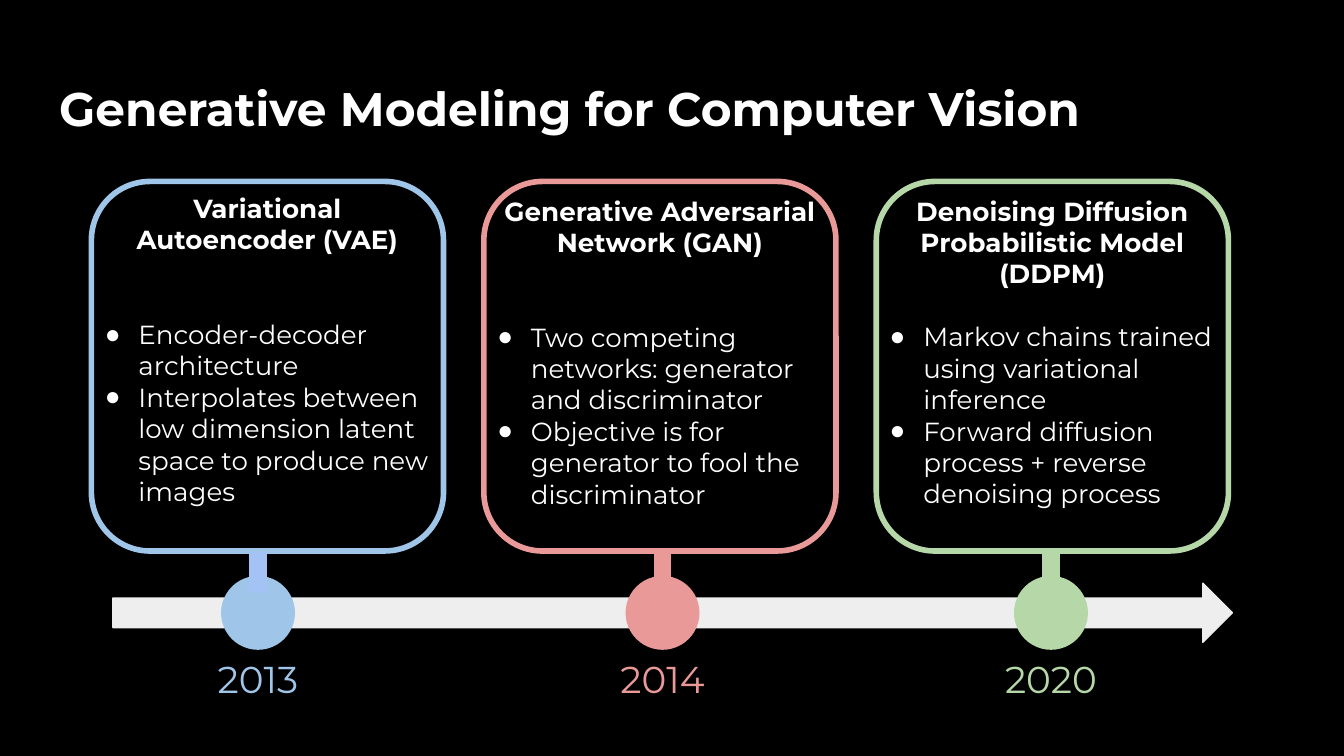
from pptx import Presentation
from pptx.dml.color import RGBColor
from pptx.enum.shapes import MSO_SHAPE
from pptx.enum.text import MSO_ANCHOR, MSO_AUTO_SIZE, PP_ALIGN
from pptx.oxml import parse_xml
from pptx.oxml.ns import nsdecls
from pptx.util import Inches, Pt

THEME = {
    "font": "Montserrat",
    "background": "000000", "text": "FFFFFF", "arrow": "EEEEEE",
    "blue": "9FC5E8", "blue stem": "A4C2F4", "red": "EA9999", "green": "B6D7A8",
    "title size": 25.2, "year size": 20, "card size": 14,
    "card line": 3, "thin line": 0.75,
}
FRAME = {
    "word_wrap": True, "auto_size": MSO_AUTO_SIZE.NONE, "vertical_anchor": MSO_ANCHOR.TOP,
    "margin_left": Inches(0.1), "margin_right": Inches(0.1),
    "margin_top": Inches(0.1), "margin_bottom": Inches(0.1),
}
MILESTONES = [
    {"year": "2013", "center": 1.92, "color": "blue", "stem": "blue stem",
     "text top": 1.33, "gap": 34,
     "model": "Variational Autoencoder (VAE)",
     "points": ["Encoder-decoder architecture",
                "Interpolates between low dimension latent space to produce new images"]},
    {"year": "2014", "center": 4.93, "color": "red", "stem": "red",
     "text top": 1.35, "gap": 34,
     "model": "Generative Adversarial Network (GAN)",
     "points": ["Two competing networks: generator and discriminator",
                "Objective is for generator to fool the discriminator"]},
    {"year": "2020", "center": 7.82, "color": "green", "stem": "green",
     "text top": 1.35, "gap": 17,
     "model": "Denoising Diffusion Probabilistic Model (DDPM)",
     "points": ["Markov chains trained using variational inference",
                "Forward diffusion process + reverse denoising process"]},
]
SLIDE_WIDTH = 10
SLIDE_HEIGHT = SLIDE_WIDTH * 9 / 16
CARD_LEFT, CARD_TOP, CARD_WIDTH, CARD_HEIGHT = 0.68, 1.35, 2.62, 2.75
COLUMN_PITCH = CARD_WIDTH + 0.3
AXIS = 4.56
DOT = 0.54
STEM_WIDTH, STEM_HEIGHT = 0.12, 0.3
YEAR_WIDTH, YEAR_HEIGHT = 1, 0.54


def add_outlined(kind, box, line, width, fill=None):
    """Add a preset shape; without a fill only its outline shows."""
    shape = slide.shapes.add_shape(kind, *map(Inches, box))
    shape.shadow.inherit = False
    if fill:
        shape.fill.solid()
        shape.fill.fore_color.rgb = RGBColor.from_string(THEME[fill])
    else:
        shape.fill.background()
    shape.line.color.rgb = RGBColor.from_string(THEME[line])
    shape.line.width = Pt(THEME[width])


def write(holder, box, lines, size, color, align):
    """Place a text holder; lines are (text, bold, bulleted, space before)."""
    holder.left, holder.top, holder.width, holder.height = map(Inches, box)
    frame = holder.text_frame
    for name, value in FRAME.items():
        setattr(frame, name, value)
    rgb = RGBColor.from_string(THEME[color])
    for number, (text, bold, bulleted, before) in enumerate(lines):
        paragraph = frame.add_paragraph() if number else frame.paragraphs[0]
        properties = paragraph._p.get_or_add_pPr()
        indent = Inches(0.25) if bulleted else 0
        properties.set("marL", str(indent))
        properties.set("indent", str(-indent))
        if bulleted:
            properties.append(parse_xml(
                f'<a:buClr {nsdecls("a")}><a:srgbClr val="{THEME[color]}"/></a:buClr>'))
            properties.append(parse_xml(f'<a:buChar {nsdecls("a")} char="●"/>'))
        else:
            properties.append(parse_xml(f'<a:buNone {nsdecls("a")}/>'))
        paragraph.alignment = PP_ALIGN.LEFT if bulleted else align
        paragraph.space_before = Pt(before)
        run = paragraph.add_run()
        run.text = text
        for name, value in {"name": THEME["font"], "size": Pt(THEME[size]), "bold": bold}.items():
            setattr(run.font, name, value)
        run.font.color.rgb = rgb


deck = Presentation()
deck.slide_width, deck.slide_height = Inches(SLIDE_WIDTH), Inches(SLIDE_HEIGHT)
slide = deck.slides.add_slide(deck.slide_layouts.get_by_name("Comparison"))
slide.background.fill.solid()
slide.background.fill.fore_color.rgb = RGBColor.from_string(THEME["background"])

bodies = [holder for holder in slide.placeholders if 1 <= holder.placeholder_format.idx <= 4]
for spare in bodies[len(MILESTONES):]:
    spare.element.getparent().remove(spare.element)

write(slide.shapes.title, (0.34, 0.49, 9.32, 0.63),
      [("Generative Modeling for Computer Vision", True, False, 0)],
      "title size", "text", PP_ALIGN.LEFT)

add_outlined(MSO_SHAPE.RIGHT_ARROW, (0.84, AXIS - 0.22, 8.33, 0.44), "arrow", "thin line", "arrow")

for column, (milestone, body) in enumerate(zip(MILESTONES, bodies)):
    left = CARD_LEFT + column * COLUMN_PITCH
    center, color, stem = milestone["center"], milestone["color"], milestone["stem"]

    add_outlined(MSO_SHAPE.ROUNDED_RECTANGLE, (left, CARD_TOP, CARD_WIDTH, CARD_HEIGHT),
                 color, "card line")
    lines = [(milestone["model"], True, False, 0)]
    for number, point in enumerate(milestone["points"]):
        lines.append((point, False, True, 0 if number else milestone["gap"]))
    write(body, (left, milestone["text top"], CARD_WIDTH, CARD_HEIGHT),
          lines, "card size", "text", PP_ALIGN.CENTER)

    add_outlined(MSO_SHAPE.OVAL, (center - DOT / 2, AXIS - DOT / 2, DOT, DOT),
                 color, "thin line", color)
    add_outlined(MSO_SHAPE.RECTANGLE, (center - STEM_WIDTH / 2, 4.11, STEM_WIDTH, STEM_HEIGHT),
                 stem, "thin line", stem)

    year_box = (center - YEAR_WIDTH / 2, 4.78, YEAR_WIDTH, YEAR_HEIGHT)
    write(slide.shapes.add_textbox(0, 0, 0, 0), year_box,
          [(milestone["year"], False, False, 0)], "year size", color, PP_ALIGN.CENTER)

deck.save("out.pptx")
